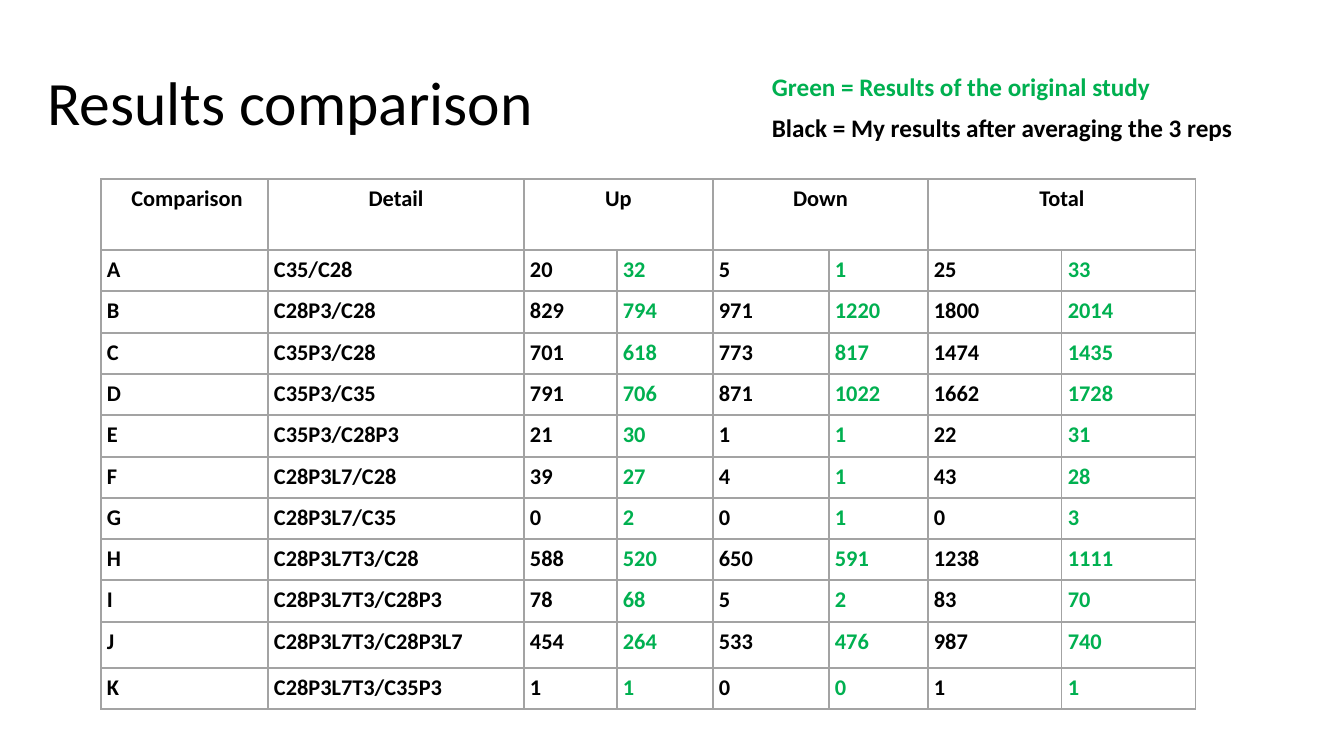
from itertools import pairwise
from lxml import etree
from pptx import Presentation
from pptx import util as u
from pptx.dml.color import RGBColor
from pptx.enum import text
from pptx.oxml.ns import qn

TITLE = "Results comparison"
HEADS = [(0, 0, " Comparison"), (1, 1, "Detail"), (2, 3, "Up"), (4, 5, "Down"), (6, 7, "Total")]
ROWS = [
    ("A", "C35/C28", 20, 32, 5, 1, 25, 33),
    ("B", "C28P3/C28", 829, 794, 971, 1220, 1800, 2014),
    ("C", "C35P3/C28", 701, 618, 773, 817, 1474, 1435),
    ("D", "C35P3/C35", 791, 706, 871, 1022, 1662, 1728),
    ("E", "C35P3/C28P3", 21, 30, 1, 1, 22, 31),
    ("F", "C28P3L7/C28", 39, 27, 4, 1, 43, 28),
    ("G", "C28P3L7/C35", 0, 2, 0, 1, 0, 3),
    ("H", "C28P3L7T3/C28", 588, 520, 650, 591, 1238, 1111),
    ("I", "C28P3L7T3/C28P3", 78, 68, 5, 2, 83, 70),
    ("J", "C28P3L7T3/C28P3L7", 454, 264, 533, 476, 987, 740),
    ("K", "C28P3L7T3/C35P3", 1, 1, 0, 0, 1, 1),
]
BLACK = RGBColor(0, 0, 0)
GREEN = RGBColor(0x00, 0xB0, 0x50)
GRAY = RGBColor(0xA3, 0xA3, 0xA3)
KEYS = [
    ("Black = My results after averaging the 3 reps", BLACK, 107),
    ("Green = Results of the original study", GREEN, 66),
]
XS = [101, 268, 524, 617, 713, 829, 928, 1062, 1196]
YS = [179, 250, 291, 333, 374, 415, 457, 498, 539, 580, 622, 668, 709]
PAD = 6


def px(n):
    return round(n * 914400 / 100.8)


def write(frame, words, size, color, bold=False, align=text.PP_ALIGN.LEFT):
    frame.text = words
    para = frame.paragraphs[0]
    para.alignment = align
    font = para.runs[0].font
    font.name, font.size, font.bold = "Calibri", u.Pt(size), bold
    font.color.rgb = color
    return para


def border(cell):
    props = cell._tc.get_or_add_tcPr()
    for i, side in enumerate(("lnL", "lnR", "lnT", "lnB")):
        line = etree.Element(qn("a:" + side), w=str(u.Pt(1)))
        fill = etree.SubElement(line, qn("a:solidFill"))
        etree.SubElement(fill, qn("a:srgbClr"), val=str(GRAY))
        props.insert(i, line)


def main():
    deck = Presentation()
    deck.slide_width, deck.slide_height = px(1344), px(756)
    slide = deck.slides.add_slide(deck.slide_layouts[5])

    title = slide.shapes.title
    title.left, title.top, title.width, title.height = map(px, (37, 33, 1159, 146))
    write(title.text_frame, TITLE, 44, BLACK).line_spacing = 0.9
    title.text_frame.vertical_anchor = text.MSO_ANCHOR.MIDDLE
    title.text_frame.auto_size = text.MSO_AUTO_SIZE.NONE

    box = (XS[0], YS[0], XS[-1] - XS[0], YS[-1] - YS[0])
    table = slide.shapes.add_table(len(YS) - 1, len(XS) - 1, *map(px, box)).table
    table.horz_banding = False
    for col, (a, b) in zip(table.columns, pairwise(XS)):
        col.width = px(b - a)
    for row, (a, b) in zip(table.rows, pairwise(YS)):
        row.height = px(b - a)
    for cell in table.iter_cells():
        cell.fill.background()
        border(cell)
        cell.margin_left = cell.margin_right = px(PAD)
        cell.margin_top = cell.margin_bottom = px(PAD)
    for first, last, head in HEADS:
        cell = table.cell(0, first)
        if last > first:
            cell.merge(table.cell(0, last))
        write(cell.text_frame, head, 16, BLACK, True, text.PP_ALIGN.CENTER)
    for r, row in enumerate(ROWS, 1):
        for c, value in enumerate(row):
            color = GREEN if c > 1 and c % 2 else BLACK
            write(table.cell(r, c).text_frame, str(value), 16, color, True)

    for words, color, top in KEYS:
        frame = slide.shapes.add_textbox(*map(px, (762, top, 523, 40))).text_frame
        frame.word_wrap = True
        frame.auto_size = text.MSO_AUTO_SIZE.SHAPE_TO_FIT_TEXT
        write(frame, words, 18, color, True)

    deck.save("out.pptx")


if __name__ == "__main__":
    main()
